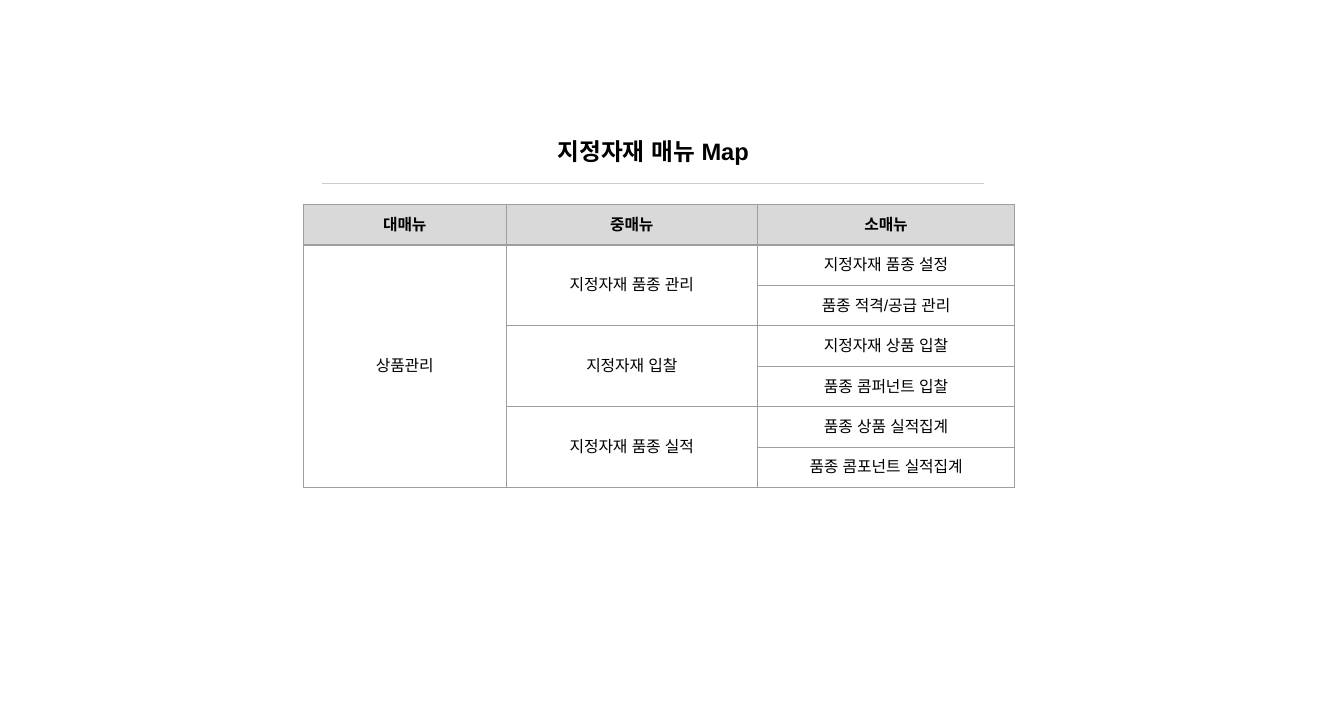
"""Build the designated-materials menu map slide."""
from dataclasses import dataclass

import lxml.etree
import pptx
import pptx.dml.color
import pptx.enum.text
import pptx.oxml.ns
import pptx.slide
import pptx.table
import pptx.util

Pt = pptx.util.Pt
RGBColor = pptx.dml.color.RGBColor
qn = pptx.oxml.ns.qn

BLACK = RGBColor(0x00, 0x00, 0x00)
HEADER_GRAY = RGBColor(0xD9, 0xD9, 0xD9)
BORDER_GRAY = RGBColor(0x9E, 0x9E, 0x9E)
RULE_GRAY = RGBColor(0xCC, 0xCC, 0xCC)
FONT = "Arial"
LINE_WIDTH = Pt(0.75)
SIDES = ("lnL", "lnR", "lnT", "lnB")


@dataclass(frozen=True)
class Menu:
    row: int
    col: int
    text: str
    rows: int = 1


@dataclass(frozen=True)
class CellStyle:
    size: float
    bold: bool
    border: RGBColor
    sides: tuple[str, ...] = SIDES
    fill: RGBColor | None = None


TITLE = CellStyle(15, True, RULE_GRAY, sides=("lnB",))
HEADER = CellStyle(10, True, BORDER_GRAY, fill=HEADER_GRAY)
BODY = CellStyle(10, False, BORDER_GRAY)

HEADERS = ("대매뉴", "중매뉴", "소매뉴")
TOP_MENU = "상품관리"
SUBMENUS = {
    "지정자재 품종 관리": ("지정자재 품종 설정", "품종 적격/공급 관리"),
    "지정자재 입찰": ("지정자재 상품 입찰", "품종 콤퍼넌트 입찰"),
    "지정자재 품종 실적": ("품종 상품 실적집계", "품종 콤포넌트 실적집계"),
}


def list_menus() -> list[Menu]:
    menus = [Menu(0, col, text) for col, text in enumerate(HEADERS)]
    row = 1
    for middle, items in SUBMENUS.items():
        menus.append(Menu(row, 1, middle, len(items)))
        menus += [Menu(row + i, 2, text) for i, text in enumerate(items)]
        row += len(items)
    menus.append(Menu(1, 0, TOP_MENU, row - 1))
    return menus


def add_table(slide: pptx.slide.Slide, left: float, top: float,
              widths: tuple[float, ...], row_height: float,
              row_count: int) -> pptx.table.Table:
    table = slide.shapes.add_table(
        row_count, len(widths), Pt(left), Pt(top),
        Pt(sum(widths)), Pt(row_height * row_count)).table
    table.first_row = table.horz_banding = False
    for column, width in zip(table.columns, widths):
        column.width = Pt(width)
    for row in table.rows:
        row.height = Pt(row_height)
    return table


def format_cell(cell: pptx.table._Cell, style: CellStyle) -> None:
    tc_pr = cell._tc.get_or_add_tcPr()
    for side in SIDES:
        ln = lxml.etree.SubElement(tc_pr, qn(f"a:{side}"), w=str(LINE_WIDTH))
        if side in style.sides:
            solid = lxml.etree.SubElement(ln, qn("a:solidFill"))
            lxml.etree.SubElement(solid, qn("a:srgbClr"), val=str(style.border))
        else:
            lxml.etree.SubElement(ln, qn("a:noFill"))
    if style.fill is None:
        cell.fill.background()
    else:
        cell.fill.solid()
        cell.fill.fore_color.rgb = style.fill
    cell.vertical_anchor = pptx.enum.text.MSO_ANCHOR.MIDDLE

    p = cell.text_frame.paragraphs[0]
    p.alignment = pptx.enum.text.PP_ALIGN.CENTER
    p.font.name = FONT
    p.font.size = Pt(style.size)
    p.font.bold = style.bold
    p.font.color.rgb = BLACK
    for script in ("a:ea", "a:cs"):
        lxml.etree.SubElement(p.font._element, qn(script), typeface=FONT)


def add_title(slide: pptx.slide.Slide) -> None:
    cell = add_table(slide, 203.8, 76.5, (419,), 39.6, 1).cell(0, 0)
    cell.margin_left = cell.margin_right = Pt(7.2)
    cell.margin_top = cell.margin_bottom = Pt(7.2)
    cell.text_frame.text = "지정자재 매뉴 Map"
    format_cell(cell, TITLE)


def add_menu_table(slide: pptx.slide.Slide) -> None:
    menus = list_menus()
    row_count = max(menu.row + menu.rows for menu in menus)
    table = add_table(slide, 192, 129.4, (128.2, 159.1, 162.7), 25.6, row_count)
    for menu in menus:
        cell = table.cell(menu.row, menu.col)
        cell.text_frame.text = menu.text
        if menu.rows > 1:
            cell.merge(table.cell(menu.row + menu.rows - 1, menu.col))
    for i, row in enumerate(table.rows):
        for cell in row.cells:
            format_cell(cell, BODY if i else HEADER)


def main() -> None:
    prs = pptx.Presentation()
    prs.slide_width, prs.slide_height = Pt(850.4), Pt(453.6)
    slide = prs.slides.add_slide(prs.slide_layouts[6])
    add_title(slide)
    add_menu_table(slide)
    prs.save("out.pptx")


if __name__ == "__main__":
    main()
